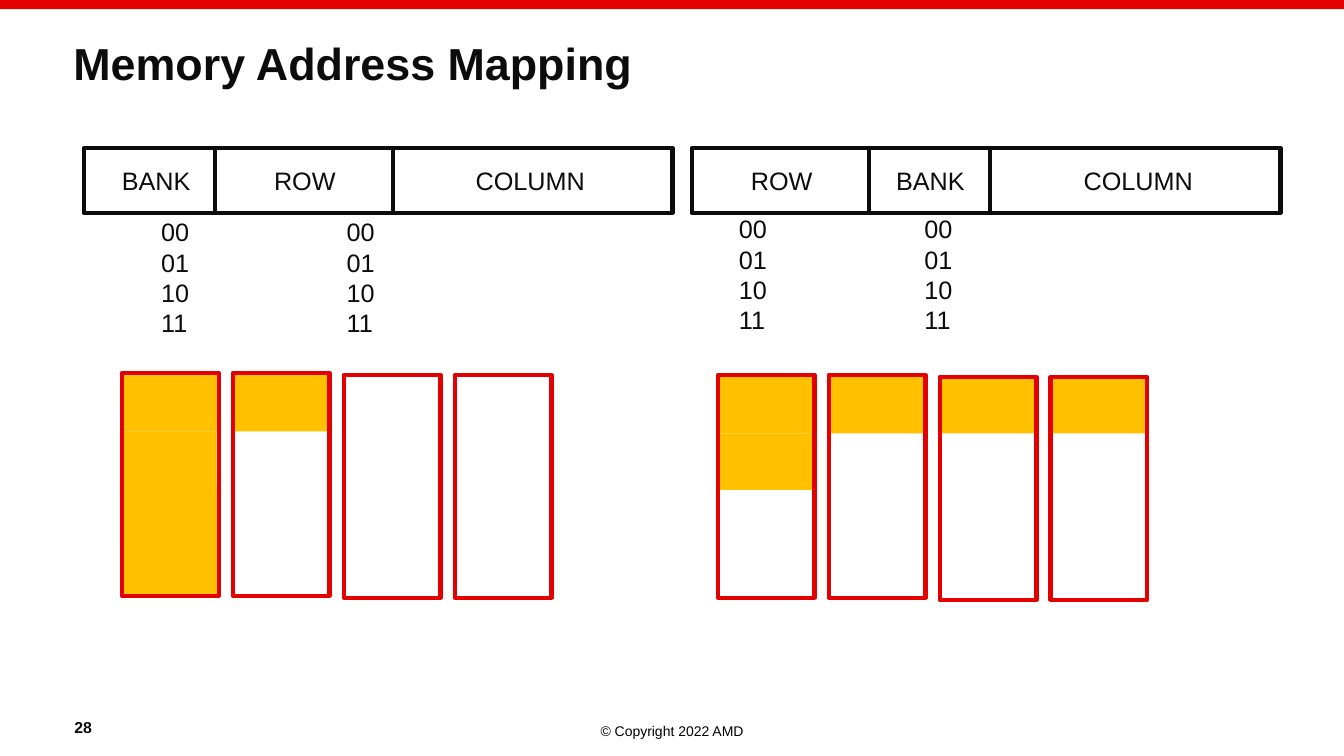
import pptx
import pptx.dml.color
import pptx.enum.shapes
import pptx.enum.text
import pptx.oxml
import pptx.oxml.ns
import pptx.util

Inches = pptx.util.Inches
Pt = pptx.util.Pt
ALIGN = pptx.enum.text.PP_ALIGN
ANCHOR = pptx.enum.text.MSO_ANCHOR

COLORS = {"ink": "0C0C0C", "black": "000000", "red": "E20000", "amber": "FFC000"}
CODES = ["00", "01", "10", "11"]
FIELD_TOP, FIELD_W, FIELD_H = 1.47, 5.84, 0.64
BANK_W, BANK_H, BANK_STEP = 0.96, 2.21, 1.1
ROW_H = 0.56


def rgb(name):
    return pptx.dml.color.RGBColor.from_string(COLORS[name])


class Deck:
    font = "Arial"
    line_width = Pt(3)

    def __init__(self):
        self.prs = pptx.Presentation()
        self.prs.slide_width = Inches(13.33)
        self.prs.slide_height = Inches(7.5)
        self.s = self.prs.slides.add_slide(self.prs.slide_layouts[6])

    def text(self, text, x, y, w, h, size=18, color="ink", bold=False,
             align=ALIGN.LEFT, anchor=ANCHOR.TOP, spacing=None, tabs=()):
        sp = self.s.shapes.add_textbox(Inches(x), Inches(y), Inches(w), Inches(h))
        tf = sp.text_frame
        tf.word_wrap = True
        tf.vertical_anchor = anchor
        p = tf.paragraphs[0]
        p.alignment = align
        if spacing:
            p.line_spacing = spacing
        if tabs:
            tab_list = pptx.oxml.parse_xml(
                f'<a:tabLst {pptx.oxml.ns.nsdecls("a")}/>')
            for tab in tabs:
                tab_list.append(pptx.oxml.parse_xml(
                    f'<a:tab {pptx.oxml.ns.nsdecls("a")} pos="{Inches(tab)}" algn="l"/>'))
            p._p.get_or_add_pPr().append(tab_list)
        r = p.add_run()
        r.text = text
        r.font.name = self.font
        r.font.size = Pt(size)
        r.font.bold = bold
        r.font.color.rgb = rgb(color)

    def rect(self, x, y, w, h, fill=None, line=None):
        sp = self.s.shapes.add_shape(pptx.enum.shapes.MSO_SHAPE.RECTANGLE,
                                     Inches(x), Inches(y), Inches(w), Inches(h))
        sp.shadow.inherit = False
        if fill:
            sp.fill.solid()
            sp.fill.fore_color.rgb = rgb(fill)
        else:
            sp.fill.background()
        if line:
            sp.line.color.rgb = rgb(line)
            sp.line.width = self.line_width
        else:
            sp.line.fill.background()

    def divider(self, x, y, h):
        c = self.s.shapes.add_connector(pptx.enum.shapes.MSO_CONNECTOR.STRAIGHT,
                                        Inches(x), Inches(y), Inches(x), Inches(y + h))
        c.line.color.rgb = rgb("ink")
        c.line.width = self.line_width
        c._element.spPr.append(pptx.oxml.parse_xml(
            f'<a:effectLst {pptx.oxml.ns.nsdecls("a")}/>'))

    def address(self, x, labels, tabs, dividers):
        """Draw an address word split into labelled bit fields."""
        self.rect(x, FIELD_TOP, FIELD_W, FIELD_H, line="ink")
        self.text("".join("\t" + label for label in labels),
                  x, FIELD_TOP + 0.12, FIELD_W, 0.4, tabs=tabs)
        for divider in dividers:
            self.divider(divider, FIELD_TOP, FIELD_H)

    def codes(self, x, y):
        """List the four two-bit codes below an address field."""
        for i, code in enumerate(CODES):
            self.text(code, x, y + 0.3 * i, 0.85, 0.4)

    def banks(self, x, y, cells):
        """Draw the used cells, then four bank outlines; the last two sit lower."""
        for cell in cells:
            self.rect(*cell, fill="amber")
        for i in range(4):
            self.rect(x + BANK_STEP * i, y + 0.02 * (i // 2),
                      BANK_W, BANK_H, line="red")


def main():
    d = Deck()
    d.text("© Copyright 2022 AMD", 0, 7.12, 13.33, 0.27, size=10,
           color="black", align=ALIGN.CENTER)
    d.rect(0, 0, 13.33, 0.09, fill="red")
    d.text("Memory Address Mapping", 0.63, 0.33, 12.07, 0.64, size=32,
           bold=True, anchor=ANCHOR.MIDDLE, spacing=0.9)
    d.text("28", 0.64, 6.96, 1.07, 0.4, size=11.3, bold=True, anchor=ANCHOR.BOTTOM)

    d.address(6.86, ["ROW", "BANK", "COLUMN"], [0.49, 1.93, 3.79], [8.62, 9.82])
    d.address(0.83, ["BANK", "ROW", "COLUMN"], [0.28, 1.79, 3.79], [2.13, 3.9])

    for x, y in [(1.5, 2.1), (3.34, 2.1), (7.23, 2.07), (9.07, 2.07)]:
        d.codes(x, y)

    d.banks(1.21, 3.7, [(1.21, 3.72, BANK_W, ROW_H),
                        (2.31, 3.72, BANK_W, ROW_H),
                        (1.19, 4.82, 1, 0.58),
                        (1.19, 4.28, BANK_W, ROW_H),
                        (1.23, 5.36, BANK_W, ROW_H)])
    first_row = [(7.12 + BANK_STEP * i, 3.74, BANK_W, ROW_H) for i in range(4)]
    d.banks(7.12, 3.72, first_row + [(7.11, 4.3, BANK_W, ROW_H)])

    d.prs.save("out.pptx")


if __name__ == "__main__":
    main()
